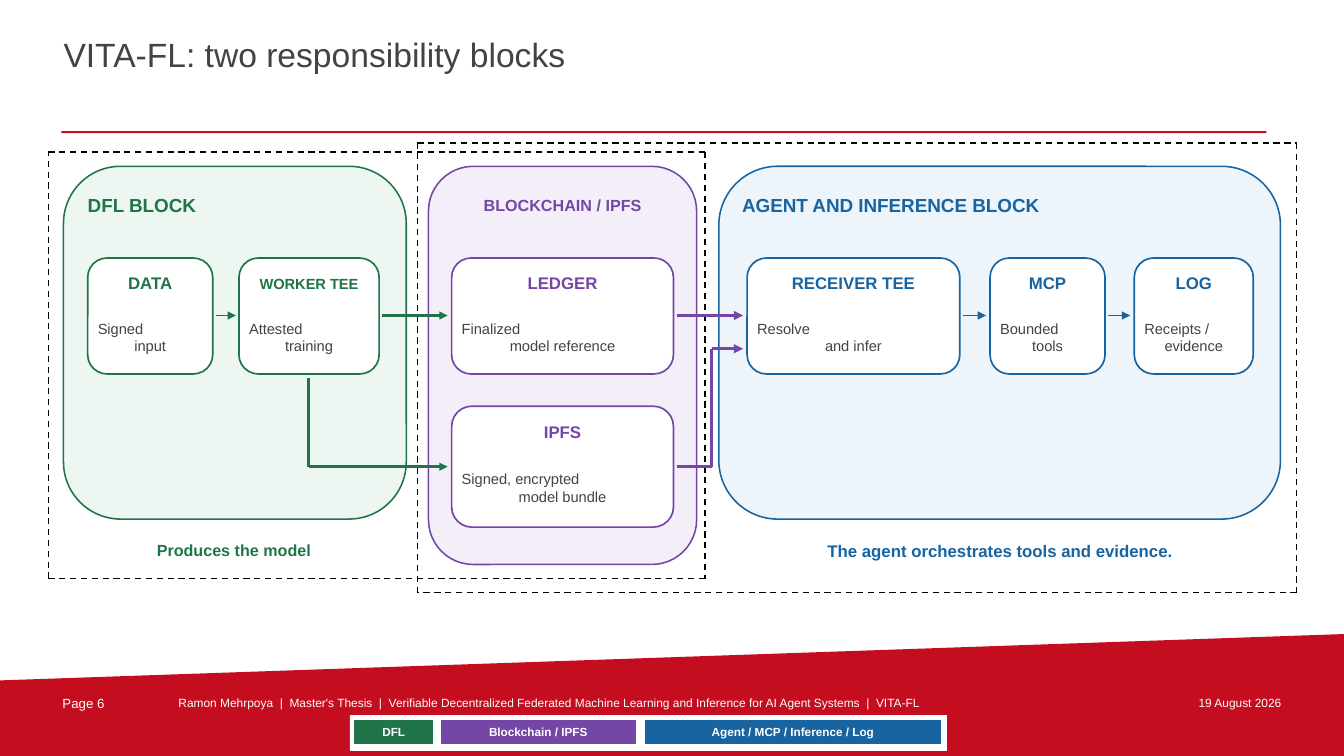
import pptx
import pptx.util
import pptx.dml.color
import pptx.enum.dml
import pptx.enum.shapes
import pptx.enum.text
import pptx.oxml.ns
from lxml import etree

Inches = pptx.util.Inches
Pt = pptx.util.Pt
RGBColor = pptx.dml.color.RGBColor
qn = pptx.oxml.ns.qn
LEFT = pptx.enum.text.PP_ALIGN.LEFT
CENTER = pptx.enum.text.PP_ALIGN.CENTER
RIGHT = pptx.enum.text.PP_ALIGN.RIGHT
TOP = pptx.enum.text.MSO_ANCHOR.TOP
MIDDLE = pptx.enum.text.MSO_ANCHOR.MIDDLE
RECT = pptx.enum.shapes.MSO_SHAPE.RECTANGLE
ROUNDED = pptx.enum.shapes.MSO_SHAPE.ROUNDED_RECTANGLE

RED = RGBColor(0xC4, 0x0D, 0x1E)
GREY = RGBColor(0x43, 0x43, 0x43)
WHITE = RGBColor(0xFF, 0xFF, 0xFF)
BLACK = RGBColor(0x00, 0x00, 0x00)
GREEN = RGBColor(0x20, 0x75, 0x48)
PURPLE = RGBColor(0x74, 0x46, 0xA6)
BLUE = RGBColor(0x17, 0x64, 0xA1)
PALE_GREEN = RGBColor(0xED, 0xF6, 0xF0)
PALE_PURPLE = RGBColor(0xF3, 0xEE, 0xF8)
PALE_BLUE = RGBColor(0xED, 0xF4, 0xFA)

deck = pptx.Presentation()
deck.slide_width = Inches(13.33)
deck.slide_height = Inches(7.5)
slide = deck.slides.add_slide(deck.slide_layouts[6])


def write(text, x, y, w, h, size, color, bold=False, aligns=(CENTER,), anchor=MIDDLE, inset=0):
    box = slide.shapes.add_textbox(Inches(x), Inches(y), Inches(w), Inches(h))
    frame = box.text_frame
    frame.word_wrap = True
    frame.auto_size = pptx.enum.text.MSO_AUTO_SIZE.SHAPE_TO_FIT_TEXT
    frame.vertical_anchor = anchor
    frame.margin_left = frame.margin_right = Inches(inset)
    frame.margin_top = frame.margin_bottom = Inches(inset)
    frame.text = text
    for paragraph, align in zip(frame.paragraphs, aligns):
        paragraph.alignment = align
        font = paragraph.runs[0].font
        font.name = "Arial"
        font.size = Pt(size)
        font.bold = bold
        font.color.rgb = color


def draw(preset, x, y, w, h, fill, outline=None, weight=1):
    shape = slide.shapes.add_shape(preset, Inches(x), Inches(y), Inches(w), Inches(h))
    shape.shadow.inherit = False
    shape.fill.solid()
    shape.fill.fore_color.rgb = fill
    if outline is None:
        shape.line.fill.background()
    else:
        shape.line.color.rgb = outline
        shape.line.width = Pt(weight)


outline = slide.shapes.build_freeform(0, Inches(6.75), scale=1.0)
outline.add_line_segments(
    [(Inches(x), Inches(y)) for x, y in [(13.33, 6.29), (13.33, 7.5), (0, 7.5)]], close=True)
footer_band = outline.convert_to_shape()
footer_band.shadow.inherit = False
footer_band.fill.solid()
footer_band.fill.fore_color.rgb = RED
footer_band.line.fill.background()

write("VITA-FL: two responsibility blocks", 0.61, 0.32, 9.65, 0.62, 24, GREY,
      aligns=(LEFT,), anchor=TOP, inset=0.02)
draw(RECT, 0.61, 1.3, 11.95, 0.02, RED)

footer = [
    ("Page 6", 0.6, 1, 9.5, LEFT),
    ("Ramon Mehrpoya  |  Master's Thesis  |  Verifiable Decentralized Federated Machine "
     "Learning and Inference for AI Agent Systems  |  VITA-FL", 1.75, 9.35, 8.5, LEFT),
    ("19 August 2026", 11.2, 1.53, 8.5, RIGHT),
]
for text, x, w, size, align in footer:
    write(text, x, 6.88, w, 0.22, size, WHITE, aligns=(align,), anchor=TOP, inset=0.02)

draw(RECT, 3.47, 7.1, 5.92, 0.34, WHITE, WHITE, 0.5)
legend = [
    ("DFL", 3.52, 0.77, GREEN),
    ("Blockchain / IPFS", 4.38, 1.92, PURPLE),
    ("Agent / MCP / Inference / Log", 6.4, 2.93, BLUE),
]
for label, x, w, color in legend:
    draw(RECT, x, 7.15, w, 0.23, color, color, 0.55)
    write(label, x + 0.08, 7.17, w - 0.16, 0.18, 8.4, WHITE, bold=True)

blocks = [
    ("DFL BLOCK", 0.63, 3.4, 3.5, PALE_GREEN, GREEN, 0.24, 13.5, LEFT),
    ("BLOCKCHAIN / IPFS", 4.25, 2.66, 3.95, PALE_PURPLE, PURPLE, 0.2, 11.5, CENTER),
    ("AGENT AND INFERENCE BLOCK", 7.13, 5.57, 3.5, PALE_BLUE, BLUE, 0.23, 13.5, LEFT),
]
for heading, x, w, h, fill, color, pad, size, align in blocks:
    draw(ROUNDED, x, 1.65, w, h, fill, color, 1.1)
    write(heading, x + pad, 1.88, w - 2 * pad, 0.3, size, color, bold=True, aligns=(align,))

steps = [
    ("DATA", "Signed\ninput", 0.87, 2.56, 1.24, 1.15, GREEN, 12),
    ("WORKER TEE", "Attested\ntraining", 2.37, 2.56, 1.39, 1.15, GREEN, 10.5),
    ("LEDGER", "Finalized\nmodel reference", 4.48, 2.56, 2.2, 1.15, PURPLE, 12),
    ("IPFS", "Signed, encrypted\nmodel bundle", 4.48, 4.03, 2.2, 1.2, PURPLE, 12),
    ("RECEIVER TEE", "Resolve\nand infer", 7.41, 2.56, 2.11, 1.15, BLUE, 12),
    ("MCP", "Bounded\ntools", 9.82, 2.56, 1.14, 1.15, BLUE, 12),
    ("LOG", "Receipts /\nevidence", 11.25, 2.56, 1.18, 1.15, BLUE, 12),
]
for name, detail, x, y, w, h, color, size in steps:
    draw(ROUNDED, x, y, w, h, WHITE, color, 1.2)
    write(name, x + 0.1, y + 0.1, w - 0.2, 0.3, size, color, bold=True)
    write(detail, x + 0.1, y + 0.51, w - 0.2, h - 0.6, 10.5, GREY, aligns=(LEFT, CENTER))

frames = [(0.48, 1.51, 6.99, 5.74), (4.14, 1.42, 12.86, 5.88)]
routes = [
    ([(l, t), (r, t), (r, b), (l, b), (l, t)], BLACK, 1.1, False) for l, t, r, b in frames
] + [
    ([(2.14, 3.13), (2.34, 3.13)], GREEN, 1.4, True),
    ([(3.79, 3.13), (4.44, 3.13)], GREEN, 1.8, True),
    ([(3.06, 3.75), (3.06, 4.63), (4.44, 4.63)], GREEN, 1.8, True),
    ([(6.71, 3.13), (7.37, 3.13)], PURPLE, 2.2, True),
    ([(6.71, 4.63), (7.06, 4.63), (7.06, 3.46), (7.37, 3.46)], PURPLE, 2.2, True),
    ([(9.55, 3.13), (9.78, 3.13)], BLUE, 1.4, True),
    ([(10.99, 3.13), (11.21, 3.13)], BLUE, 1.4, True),
]
for points, color, weight, is_arrow in routes:
    for start, end in zip(points, points[1:]):
        segment = slide.shapes.add_connector(
            pptx.enum.shapes.MSO_CONNECTOR.STRAIGHT, *map(Inches, start + end))
        segment.line.color.rgb = color
        segment.line.width = Pt(weight)
        properties = segment._element.spPr
        if not is_arrow:
            segment.line.dash_style = pptx.enum.dml.MSO_LINE.DASH
        elif end == points[-1]:
            etree.SubElement(properties.find(qn("a:ln")), qn("a:tailEnd"), type="triangle")
        etree.SubElement(properties, qn("a:effectLst"))

write("Produces the model", 0.87, 5.32, 2.9, 0.27, 11.5, GREEN, bold=True)
write("The agent orchestrates tools and evidence.", 7.44, 5.31, 4.96, 0.3, 12, BLUE, bold=True)

deck.save("out.pptx")
